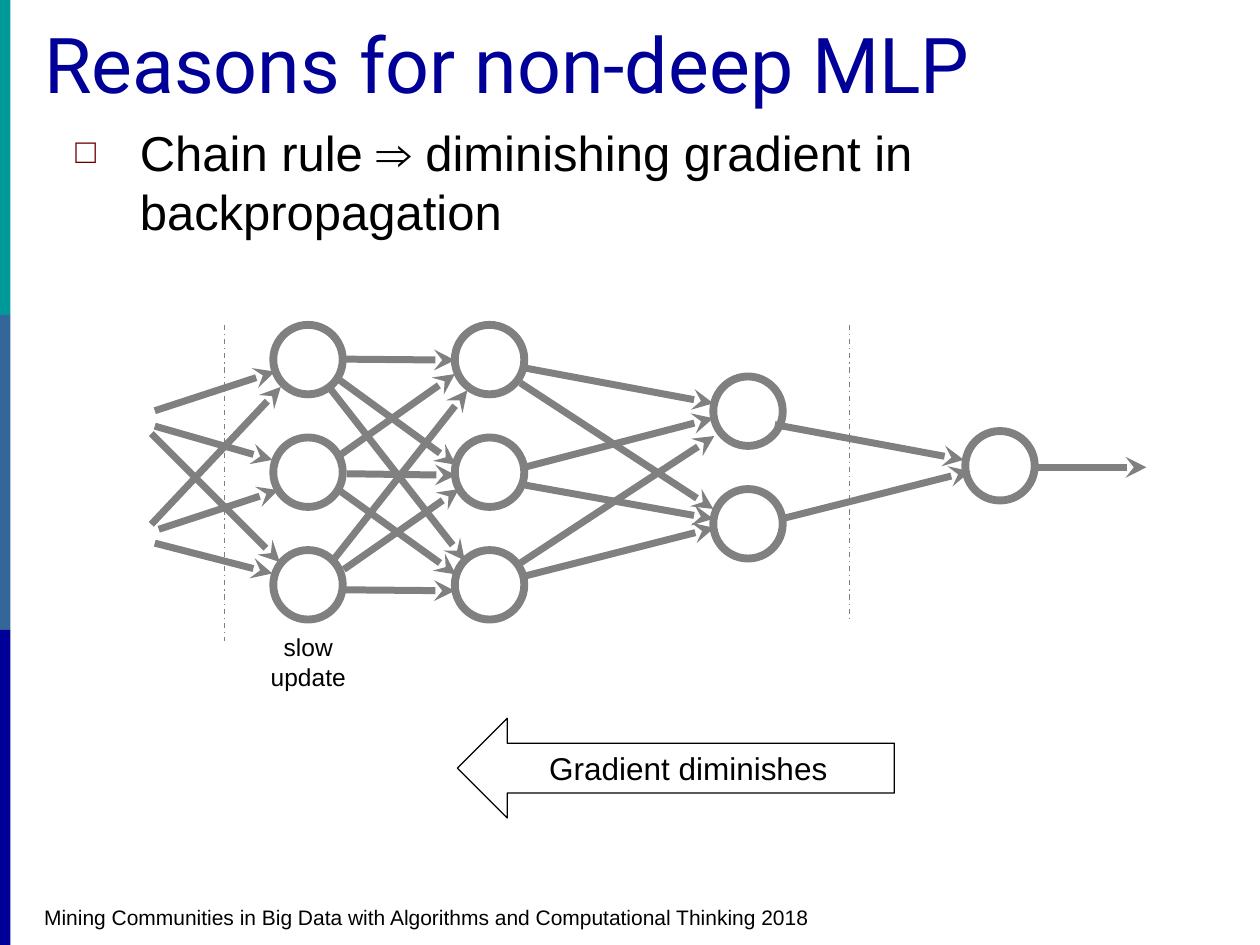
from dataclasses import dataclass

from lxml.etree import SubElement
from pptx import Presentation
from pptx.dml.color import RGBColor
from pptx.enum.dml import MSO_LINE
from pptx.enum.shapes import MSO_CONNECTOR, MSO_SHAPE
from pptx.enum.text import MSO_ANCHOR, PP_ALIGN
from pptx.oxml.ns import qn
from pptx.util import Cm, Pt


@dataclass(frozen=True)
class Theme:
    head: str = "Roboto"
    body: str = "Arial"
    black: str = "000000"
    white: str = "FFFFFF"
    gray: str = "808080"
    teal: str = "009999"
    steel: str = "336699"
    navy: str = "000099"
    wine: str = "660000"
    title: int = 44
    text: int = 28
    label: int = 18
    note: int = 14
    foot: int = 12
    ring: float = 4.5
    link: float = 4
    thin: float = 0.75


class Deck:
    def __init__(self, theme):
        self.theme = theme
        self.file = Presentation()
        self.file.slide_width = Cm(25.4)
        self.file.slide_height = Cm(19.05)
        self.slide = self.file.slides.add_slide(self.file.slide_layouts[6])

    def style(self, part, size, color=None, font=None):
        part.font.size = Pt(size)
        part.font.name = font or self.theme.body
        part.font.color.rgb = RGBColor.from_string(color or self.theme.black)

    def text(self, box, words, size, color=None, font=None, align=PP_ALIGN.LEFT):
        frame = box.text_frame
        frame.word_wrap = True
        frame.text = words
        para = frame.paragraphs[0]
        para.alignment = align
        for run in para.runs:
            self.style(run, size, color, font)
        return para

    def label(self, area, words, size, color=None, font=None,
              align=PP_ALIGN.LEFT, anchor=MSO_ANCHOR.TOP):
        box = self.slide.shapes.add_textbox(*map(Cm, area))
        box.text_frame.vertical_anchor = anchor
        return self.text(box, words, size, color, font, align)

    def bullet(self, area, words):
        para = self.label(area, words, self.theme.text)
        props = para._p.get_or_add_pPr()
        props.set("marL", str(Cm(1.3)))
        props.set("indent", str(Cm(-1.3)))
        tint = SubElement(props, qn("a:buClr"))
        SubElement(tint, qn("a:srgbClr")).set("val", self.theme.wine)
        SubElement(props, qn("a:buSzPct")).set("val", "70000")
        SubElement(props, qn("a:buFont")).set("typeface", self.theme.body)
        SubElement(props, qn("a:buChar")).set("char", "□")

    def shape(self, kind, area, fill=None, line=None, width=0):
        item = self.slide.shapes.add_shape(kind, *map(Cm, area))
        item.shadow.inherit = False
        if fill:
            item.fill.solid()
            item.fill.fore_color.rgb = RGBColor.from_string(fill)
        else:
            item.fill.background()
        if line:
            item.line.color.rgb = RGBColor.from_string(line)
            item.line.width = Pt(width)
        else:
            item.line.fill.background()
        return item

    def node(self, left, top):
        self.shape(MSO_SHAPE.OVAL, (left, top, 1.4, 1.4),
                   self.theme.white, self.theme.gray, self.theme.ring)

    def line(self, ends, width):
        item = self.slide.shapes.add_connector(MSO_CONNECTOR.STRAIGHT, *map(Cm, ends))
        item.line.color.rgb = RGBColor.from_string(self.theme.gray)
        item.line.width = Pt(width)
        SubElement(item._element.spPr, qn("a:effectLst"))
        return item

    def arrow(self, ends):
        item = self.line(ends, self.theme.link)
        SubElement(item.line._get_or_add_ln(), qn("a:tailEnd")).set("type", "stealth")

    def divide(self, left, top, end):
        item = self.line((left, top, left, end), self.theme.thin)
        item.line.dash_style = MSO_LINE.DASH_DOT


LAYERS = [(5.51, 6.55, 3), (9.17, 6.55, 3), (14.38, 7.59, 2), (19.46, 8.69, 1)]
STEP = 2.27

INPUT = [
    (3.12, 8.28, 5.54, 7.49), (3.2, 10.67, 5.61, 9.88),
    (3.12, 10.95, 5.49, 11.56), (3.12, 8.59, 5.49, 9.27),
    (3.05, 10.57, 5.66, 7.8), (3.05, 8.74, 5.64, 11.33),
]
FIRST = [
    (6.96, 7.24, 9.17, 7.26), (6.83, 7.65, 9.19, 9.37),
    (6.99, 9.55, 9.19, 9.58), (6.71, 11.3, 9.42, 7.87),
    (6.63, 7.8, 9.37, 11.3), (6.83, 9.88, 9.19, 11.58),
    (6.86, 9.17, 9.17, 7.54), (6.93, 11.48, 9.25, 9.86),
    (6.96, 11.89, 9.17, 11.91),
]
SECOND = [
    (10.59, 7.42, 14.38, 8.13), (10.49, 7.72, 14.38, 10.26),
    (10.59, 11.61, 14.4, 10.64), (10.49, 11.35, 14.4, 8.79),
    (10.59, 9.78, 14.38, 10.46), (10.57, 9.42, 14.38, 8.43),
]
OUTPUT = [
    (15.62, 8.56, 19.43, 9.27), (15.75, 10.46, 19.56, 9.5),
    (20.9, 9.42, 23.11, 9.42),
]


def main():
    theme = Theme()
    deck = Deck(theme)
    for row, color in enumerate((theme.teal, theme.steel, theme.navy)):
        deck.shape(MSO_SHAPE.RECTANGLE, (0, row * 6.35, 0.21, 6.35), color)
    deck.label((0.64, 18.1, 19.46, 0.76),
               "Mining Communities in Big Data with Algorithms and "
               "Computational Thinking 2018", theme.foot)
    deck.label((0.64, 0.43, 24.13, 1.9), "Reasons for non-deep MLP",
               theme.title, theme.navy, theme.head, anchor=MSO_ANCHOR.BOTTOM)
    deck.bullet((1.27, 2.34, 23.82, 15.67),
                "Chain rule ⇒ diminishing gradient in backpropagation")

    deck.divide(4.53, 6.55, 12.93)
    deck.divide(17.12, 6.55, 12.52)
    for left, top, count in LAYERS:
        for row in range(count):
            deck.node(left, top + row * STEP)
    for ends in INPUT + FIRST + SECOND + OUTPUT:
        deck.arrow(ends)

    flow = deck.shape(MSO_SHAPE.LEFT_ARROW, (9.22, 14.48, 8.81, 2.01),
                      line=theme.black, width=theme.thin)
    flow.text_frame.vertical_anchor = MSO_ANCHOR.MIDDLE
    deck.text(flow, "Gradient diminishes", theme.label, align=PP_ALIGN.CENTER)
    deck.label((4.93, 12.62, 2.57, 1.45), "slow update", theme.note,
               align=PP_ALIGN.CENTER)
    deck.file.save("out.pptx")


if __name__ == "__main__":
    main()
